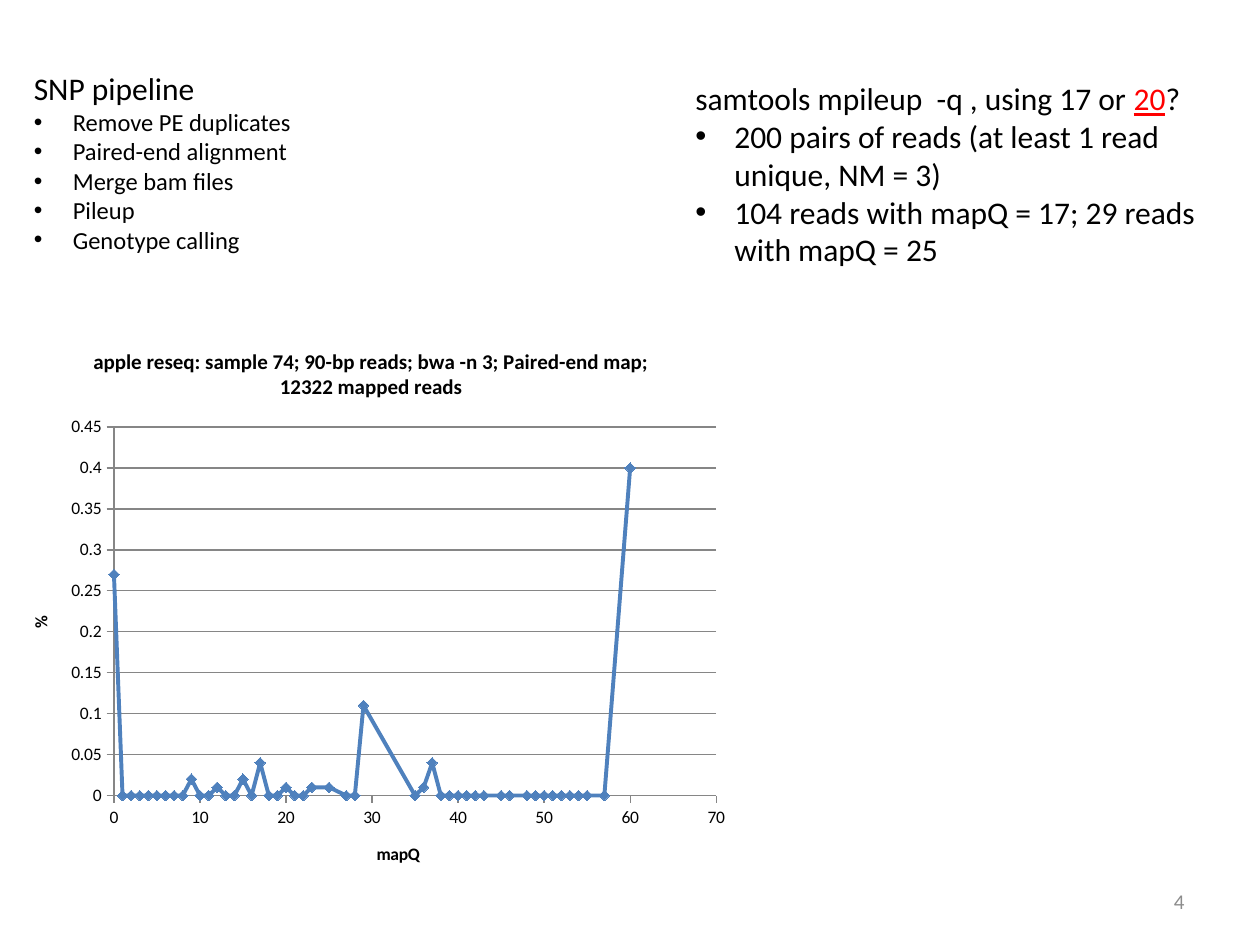
from dataclasses import dataclass

from lxml import etree
from pptx import Presentation, util as u
from pptx.chart.data import XyChartData
from pptx.dml.color import RGBColor
from pptx.enum import chart as ch, text as tx
from pptx.oxml.ns import qn


@dataclass(frozen=True)
class Theme:
    """Colours and type sizes of the slide."""
    font: str = "Calibri"
    ink: str = "000000"
    accent: str = "FF0000"
    muted: str = "8C8C8C"
    axis: str = "868686"
    series: str = "4F81BD"
    body: int = 18
    steps: int = 14
    caption: int = 12
    label: int = 10


THEME = Theme()
WIDTH, HEIGHT = 10, 7.5
INDENT = 0.31

# Mapping quality scores that occur, and the shares that are not zero
SKIPPED = {24, 26, *range(30, 35), 44, 47, 56, 58, 59}
MAPQ = [q for q in range(61) if q not in SKIPPED]
SHARES = {0: 0.27, 9: 0.02, 12: 0.01, 15: 0.02, 17: 0.04, 20: 0.01, 23: 0.01,
          25: 0.01, 29: 0.11, 36: 0.01, 37: 0.04, 60: 0.4}


def style(font, size, color=THEME.ink, bold=False):
    """Give a font its face, size, colour and weight."""
    font.name, font.size, font.bold = THEME.font, u.Pt(size), bold
    font.color.rgb = RGBColor.from_string(color)


def add_bullet(paragraph):
    """Turn a paragraph into a hanging bullet."""
    props = paragraph._p.get_or_add_pPr()
    props.set("marL", str(u.Inches(INDENT)))
    props.set("indent", str(-u.Inches(INDENT)))
    etree.SubElement(props, qn("a:buFont")).set("typeface", "Arial")
    etree.SubElement(props, qn("a:buChar")).set("char", "•")


def add_text(slide, left, top, width, height):
    """Add a wrapping text frame."""
    box = slide.shapes.add_textbox(*map(u.Inches, (left, top, width, height)))
    box.text_frame.word_wrap = True
    return box.text_frame


def add_list(slide, place, heading, items, item_size):
    """Add a heading with bullets below it; return the heading paragraph."""
    frame = add_text(slide, *place)
    frame.text = "\n".join([heading, *items])
    first, *bullets = frame.paragraphs
    style(first.runs[0].font, THEME.body)
    for bullet in bullets:
        add_bullet(bullet)
        style(bullet.runs[0].font, item_size)
    return first


def add_title(owner, wording, size):
    """Title a chart or an axis in bold."""
    frame = (owner.chart_title if hasattr(owner, "chart_title") else owner.axis_title).text_frame
    frame.text = wording
    style(frame.paragraphs[0].runs[0].font, size, bold=True)


def format_axis(axis, wording, top, step, number_format):
    """Set scale, ticks, line and title of an axis."""
    axis.minimum_scale, axis.maximum_scale, axis.major_unit = 0, top, step
    axis.major_tick_mark, axis.minor_tick_mark = ch.XL_TICK_MARK.OUTSIDE, ch.XL_TICK_MARK.NONE
    axis.tick_labels.number_format = number_format
    axis.tick_labels.number_format_is_linked = False
    axis.format.line.color.rgb = RGBColor.from_string(THEME.axis)
    add_title(axis, wording, THEME.label)


def place_plot(chart, **shares):
    """Fix the inner plot area as shares of the chart's size."""
    area = chart._chartSpace.chart.plotArea
    for old in area.findall(qn("c:layout")):
        area.remove(old)
    layout = etree.Element(qn("c:layout"))
    area.insert(0, layout)
    manual = etree.SubElement(layout, qn("c:manualLayout"))
    settings = {"layoutTarget": "inner", "xMode": "edge", "yMode": "edge", **shares}
    for tag, value in settings.items():
        etree.SubElement(manual, qn(f"c:{tag}")).set("val", str(value))


def add_mapq_chart(slide, place):
    """Add the scatter chart of reads per mapping quality."""
    data = XyChartData()
    points = data.add_series("Series 1")
    for quality in MAPQ:
        points.add_data_point(quality, SHARES.get(quality, 0))
    chart = slide.shapes.add_chart(
        ch.XL_CHART_TYPE.XY_SCATTER_LINES, *map(u.Inches, place), data).chart
    style(chart.font, THEME.label)
    chart.has_legend = False
    add_title(chart, "apple reseq: sample 74; 90-bp reads; bwa -n 3; "
                     "Paired-end map; 12322 mapped reads", THEME.caption)
    chart.chart_title.include_in_layout = True
    format_axis(chart.category_axis, "mapQ", 70, 10, "General")
    format_axis(chart.value_axis, "%", 0.45, 0.05, "General")
    chart.category_axis.has_major_gridlines = False
    chart.value_axis.has_major_gridlines = True
    grid = chart.value_axis.major_gridlines.format.line
    grid.color.rgb = RGBColor.from_string(THEME.axis)

    chart.plots[0].vary_by_categories = False
    reads = chart.plots[0].series[0]
    reads.smooth = False
    blue = RGBColor.from_string(THEME.series)
    reads.format.line.color.rgb = blue
    reads.format.line.width = u.Pt(2.25)
    reads.marker.style, reads.marker.size = ch.XL_MARKER_STYLE.DIAMOND, 6
    reads.marker.format.fill.solid()
    reads.marker.format.fill.fore_color.rgb = blue
    reads.marker.format.line.color.rgb = blue
    place_plot(chart, x=0.15, y=0.18, w=0.82, h=0.65)


def add_page_number(slide, number):
    """Add the page number at the lower right."""
    frame = add_text(slide, 7.17, 6.95, 2.33, 0.4)
    frame.vertical_anchor = tx.MSO_ANCHOR.MIDDLE
    frame.text = number
    frame.paragraphs[0].alignment = tx.PP_ALIGN.RIGHT
    style(frame.paragraphs[0].runs[0].font, THEME.caption, THEME.muted)


def main():
    """Build and save the slide."""
    deck = Presentation()
    deck.slide_width, deck.slide_height = u.Inches(WIDTH), u.Inches(HEIGHT)
    slide = deck.slides.add_slide(deck.slide_layouts.get_by_name("Blank"))

    add_page_number(slide, "4")
    add_list(slide, (0.17, 0.5, 9.83, 1.82), "SNP pipeline",
             ["Remove PE duplicates", "Paired-end alignment", "Merge bam files",
              "Pileup", "Genotype calling"], THEME.steps)
    add_mapq_chart(slide, (0.03, 2.58, 5.83, 4.5))
    question = add_list(slide, (5.42, 0.58, 4.51, 1.92),
                        "samtools mpileup  -q , using 17 or ",
                        ["200 pairs of reads (at least 1 read unique, NM = 3)",
                         "104 reads with mapQ = 17; 29 reads with mapQ = 25"], THEME.body)
    for wording, color, underline in (("20", THEME.accent, True), ("?", THEME.ink, False)):
        run = question.add_run()
        run.text = wording
        style(run.font, THEME.body, color)
        run.font.underline = underline

    deck.save("out.pptx")


main()
